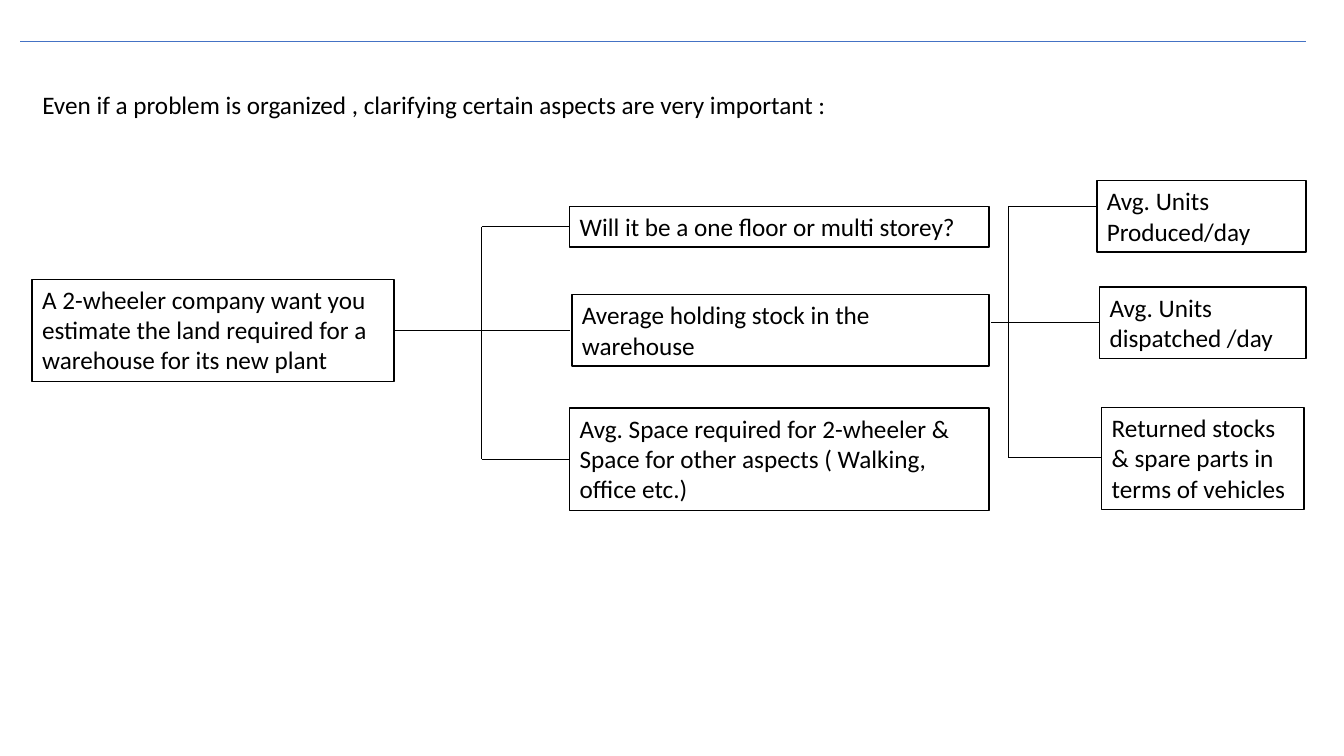
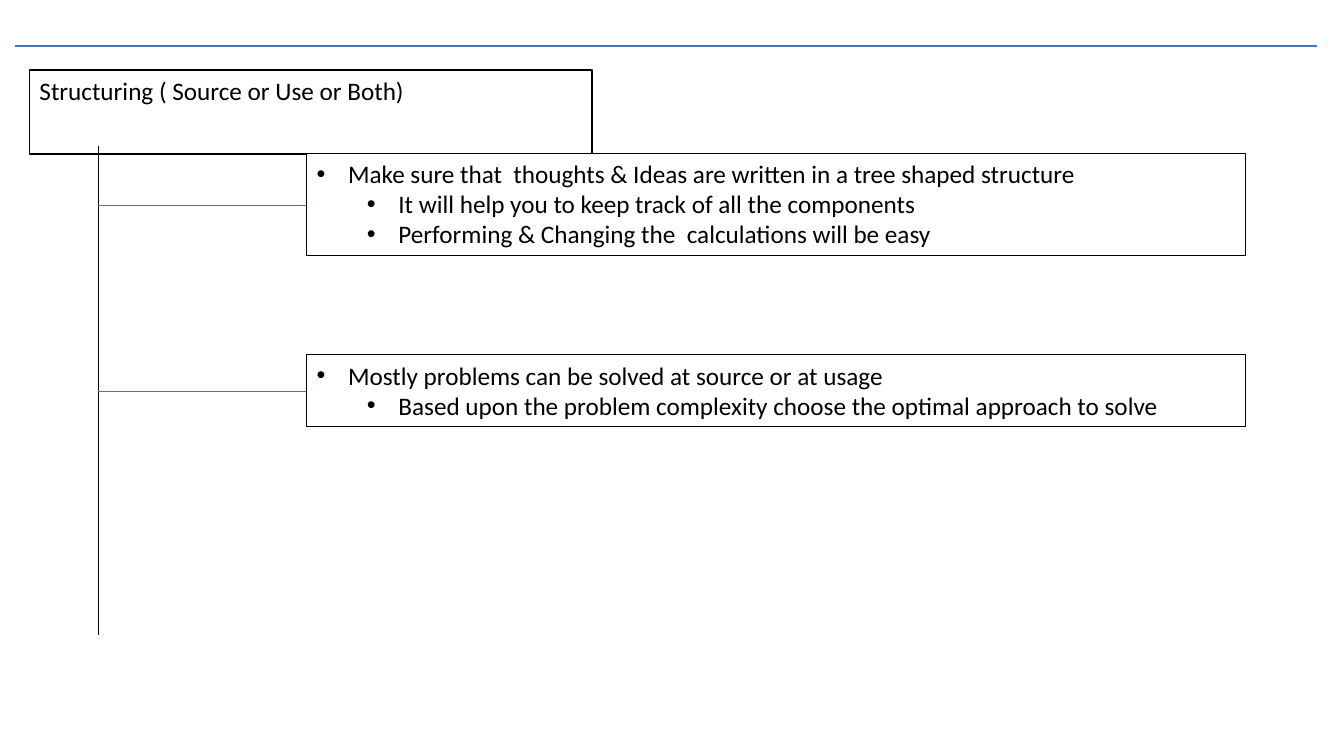
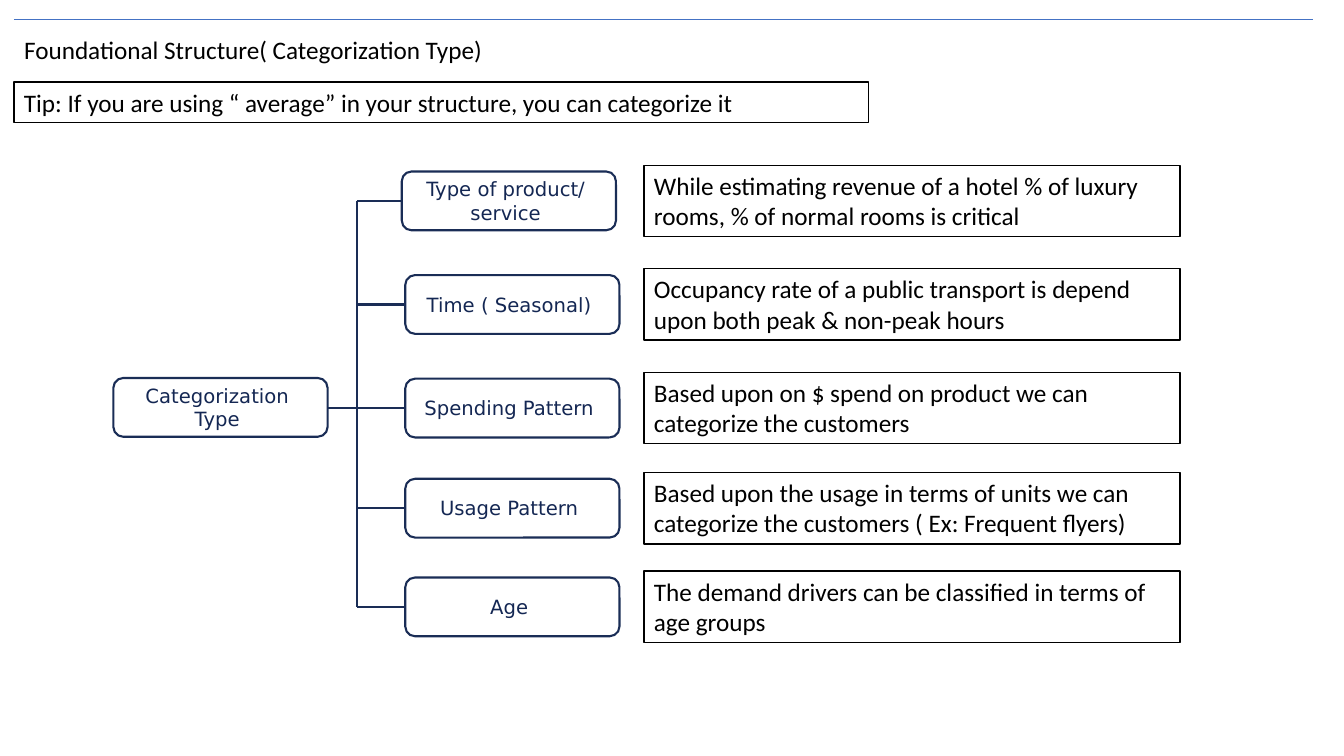
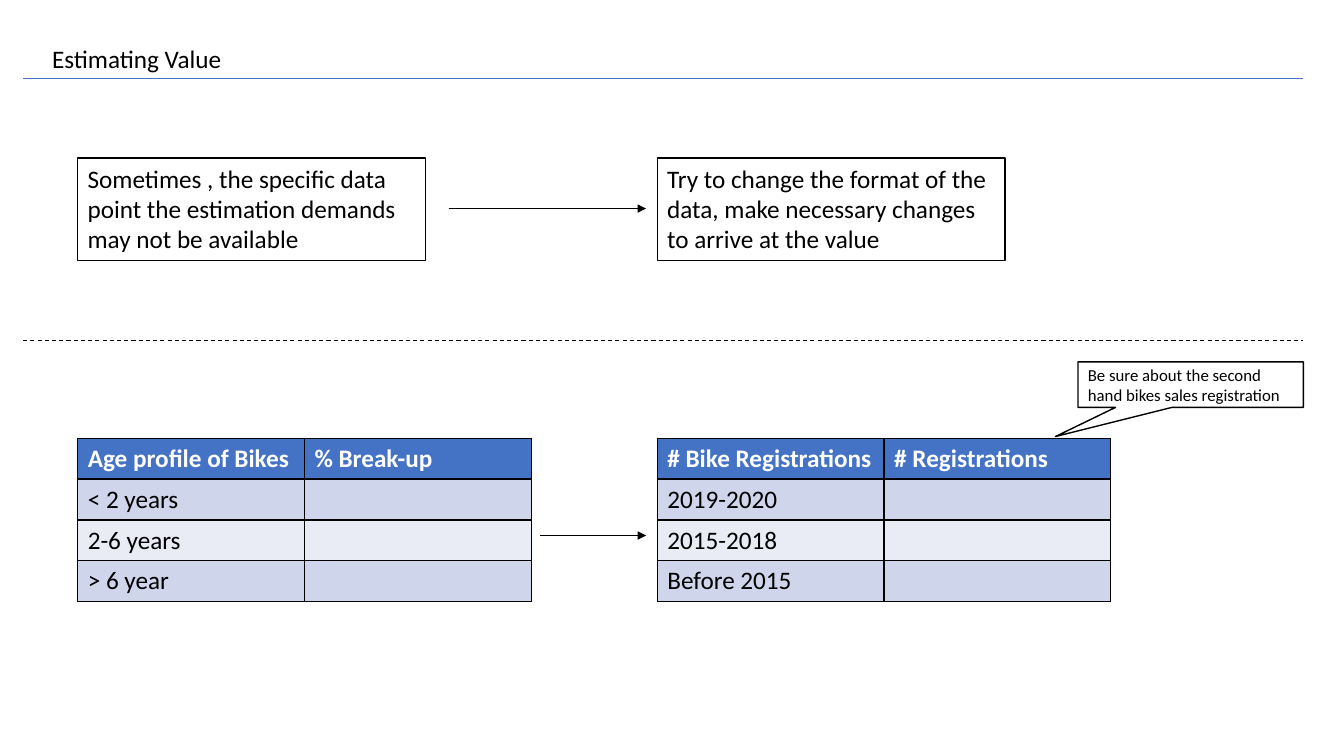
import lxml.etree
import pptx
import pptx.dml.color
import pptx.enum.dml
import pptx.enum.shapes
import pptx.enum.text
import pptx.oxml.ns
import pptx.util

Pt = pptx.util.Pt
qn = pptx.oxml.ns.qn
SHAPE = pptx.enum.shapes.MSO_SHAPE
ANCHOR = pptx.enum.text.MSO_ANCHOR
ALIGN = pptx.enum.text.PP_ALIGN
GROW = pptx.enum.text.MSO_AUTO_SIZE.SHAPE_TO_FIT_TEXT

BLACK, WHITE, BLUE = "000000", "FFFFFF", "4472C4"
NAVY, NAVY_TEXT = "1A2D56", "142753"
BANDS = ("CFD5EA", "E9EBF5")
ONE_LINE, TWO_LINES, THREE_LINES = 29, 51, 73


def rgb(color):
    return pptx.dml.color.RGBColor.from_string(color)


def paint(sp, fill, line, width):
    sp.fill.solid()
    sp.fill.fore_color.rgb = rgb(fill)
    sp.line.color.rgb = rgb(line)
    sp.line.width = Pt(width)


def add_run(p, text, size=18, font="Calibri", color=BLACK, bold=False):
    r = p.add_run()
    r.text = text
    r.font.size = Pt(size)
    r.font.name = font
    r.font.color.rgb = rgb(color)
    r.font.bold = bold


def add_bullet(p, level):
    p.level = level
    pPr = p._p.get_or_add_pPr()
    pPr.set("marL", str(Pt(22.5 + 36 * level)))
    pPr.set("indent", str(Pt(-22.5)))
    lxml.etree.SubElement(pPr, qn("a:buFont")).set("typeface", "Arial")
    lxml.etree.SubElement(pPr, qn("a:buChar")).set("char", "•")


def add_line(s, x1, y1, x2, y2, color=BLACK, width=1, arrow=False, dashed=False):
    c = s.shapes.add_connector(pptx.enum.shapes.MSO_CONNECTOR.STRAIGHT,
                               Pt(x1), Pt(y1), Pt(x2), Pt(y2))
    c.line.color.rgb = rgb(color)
    c.line.width = Pt(width)
    if dashed:
        c.line.dash_style = pptx.enum.dml.MSO_LINE.DASH
    spPr = c._element.spPr
    if arrow:
        lxml.etree.SubElement(spPr.find(qn("a:ln")), qn("a:tailEnd")).set("type", "triangle")
    lxml.etree.SubElement(spPr, qn("a:effectLst"))


def add_branches(s, x, ends, color=BLACK, width=1, spine_width=0.5):
    add_line(s, x, ends[0][1], x, ends[-1][1], color, spine_width)
    for end_x, y in ends:
        add_line(s, x, y, end_x, y, color, width)


def add_shape(s, kind, x, y, w, h, line=BLACK, width=1):
    sp = s.shapes.add_shape(kind, Pt(x), Pt(y), Pt(w), Pt(h))
    sp.shadow.inherit = False
    paint(sp, WHITE, line, width)
    sp.text_frame.word_wrap = True
    return sp


def add_box(s, x, y, w, h, *lines, bullets=False, width=1):
    tf = add_shape(s, SHAPE.RECTANGLE, x, y, w, h, width=width).text_frame
    tf.auto_size = GROW
    tf.vertical_anchor = ANCHOR.TOP
    for i, text in enumerate(lines):
        p = tf.paragraphs[0] if i == 0 else tf.add_paragraph()
        p.alignment = ALIGN.LEFT
        if bullets:
            add_bullet(p, min(i, 1))
        add_run(p, text)


def add_category(s, x, center, text):
    tf = add_shape(s, SHAPE.ROUNDED_RECTANGLE, x, center - 21, 153, 42, NAVY, 1.5).text_frame
    tf.vertical_anchor = ANCHOR.MIDDLE
    tf.margin_right = Pt(11.7)
    p = tf.paragraphs[0]
    p.alignment = ALIGN.CENTER
    add_run(p, text, 14, "DejaVu Sans", NAVY_TEXT)


def add_callout(s, x, y, w, h, text, tip):
    sp = add_shape(s, SHAPE.RECTANGULAR_CALLOUT, x, y, w, h)
    sp.adjustments[0], sp.adjustments[1] = tip
    sp.text_frame.vertical_anchor = ANCHOR.MIDDLE
    p = sp.text_frame.paragraphs[0]
    p.alignment = ALIGN.LEFT
    add_run(p, text, 12)


def set_borders(cell):
    tcPr = cell._tc.get_or_add_tcPr()
    for i, side in enumerate(("a:lnL", "a:lnR", "a:lnT", "a:lnB")):
        ln = lxml.etree.Element(qn(side), w=str(Pt(1)))
        fill = lxml.etree.SubElement(ln, qn("a:solidFill"))
        lxml.etree.SubElement(fill, qn("a:srgbClr")).set("val", BLACK)
        tcPr.insert(i, ln)


def add_table(s, x, y, rows):
    col_w, row_h = 162, 29.2
    table = s.shapes.add_table(len(rows), 2, Pt(x), Pt(y), Pt(2 * col_w),
                               Pt(len(rows) * row_h)).table
    for col in table.columns:
        col.width = Pt(col_w)
    for i, texts in enumerate(rows):
        table.rows[i].height = Pt(row_h)
        header = i == 0
        for j, text in enumerate(texts):
            cell = table.cell(i, j)
            cell.fill.solid()
            cell.fill.fore_color.rgb = rgb(BLUE if header else BANDS[(i - 1) % 2])
            set_borders(cell)
            if text:
                add_run(cell.text_frame.paragraphs[0], text,
                        color=WHITE if header else BLACK, bold=header)


def add_slide(prs, title, x, y, w, rule, boxed=False):
    s = prs.slides.add_slide(prs.slide_layouts[5])
    sp = s.shapes.title
    sp.left, sp.top, sp.width, sp.height = Pt(x), Pt(y), Pt(w), Pt(ONE_LINE)
    if boxed:
        paint(sp, WHITE, BLACK, 1)
    tf = sp.text_frame
    tf.word_wrap = True
    tf.auto_size = GROW
    tf.vertical_anchor = ANCHOR.TOP
    p = tf.paragraphs[0]
    p.alignment = ALIGN.LEFT
    add_run(p, title)
    x1, x2, rule_y, width = rule
    add_line(s, x1, rule_y, x2, rule_y, BLUE, width)
    return s


def build_clarifying(prs):
    s = add_slide(prs, "Even if a problem is organized , clarifying certain aspects are very important :",
                  23, 60, 845, (14.5, 933, 29.5, 1))
    add_line(s, 281.5, 236, 344, 236)
    add_branches(s, 344, [(407, 162), (407, 236), (407, 328)])
    add_line(s, 708, 230.5, 720.5, 230.5)
    add_branches(s, 720.5, [(783.5, 147.5), (785.5, 230.5), (787, 327)])
    for box in (
        (23, 199.5, 258.5, THREE_LINES,
         "A 2-wheeler company want you estimate the land required for a warehouse for its new plant"),
        (407, 147.5, 299.5, ONE_LINE, "Will it be a one floor or multi storey?"),
        (408.5, 210.5, 298, TWO_LINES, "Average holding stock in the warehouse"),
        (407, 291.5, 299.5, THREE_LINES,
         "Avg. Space required for 2-wheeler & Space for other aspects ( Walking, office etc.)"),
        (783.5, 129, 149.5, TWO_LINES, "Avg. Units Produced/day"),
        (785.5, 205, 147.5, TWO_LINES, "Avg. Units dispatched /day"),
        (787, 291, 144.5, THREE_LINES, "Returned stocks & spare parts in terms of vehicles"),
    ):
        add_box(s, *box)


def build_structuring(prs):
    s = add_slide(prs, "Structuring ( Source or Use or Both)", 21, 50, 402,
                  (10.5, 941, 33, 1), boxed=True)
    add_line(s, 70, 104.5, 70, 453.5, width=0.5)
    for branch_y, top, h, lines in (
        (146.5, 109.5, THREE_LINES,
         ("Make sure that  thoughts & Ideas are written in a tree shaped structure",
          "It will help you to keep track of all the components",
          "Performing & Changing the  calculations will be easy")),
        (279.5, 253.5, TWO_LINES,
         ("Mostly problems can be solved at source or at usage",
          "Based upon the problem complexity choose the optimal approach to solve")),
    ):
        add_line(s, 70, branch_y, 219, branch_y, BLUE, 0.5)
        add_box(s, 219, top, 671, h, *lines, bullets=True, width=0.75)


def build_categorization(prs):
    s = add_slide(prs, "Foundational Structure( Categorization Type)", 10, 21, 864,
                  (10, 938, 13.5, 0.5))
    add_box(s, 10, 58.5, 610.5, ONE_LINE,
            "Tip: If you are using “ average” in your structure, you can categorize it")
    rows = (
        (287, 143.5, "Type of product/ service",
         "While estimating revenue of a hotel % of luxury rooms, % of normal rooms is critical"),
        (289.5, 217.5, "Time ( Seasonal)",
         "Occupancy rate of a public transport is depend upon both peak & non-peak hours"),
        (289.5, 291.5, "Spending Pattern",
         "Based upon on $ spend on product we can categorize the customers"),
        (289.5, 363, "Usage Pattern",
         "Based upon the usage in terms of units we can categorize the customers ( Ex: Frequent flyers)"),
        (289.5, 433.5, "Age",
         "The demand drivers can be classified in terms of age groups"),
    )
    add_line(s, 234, 291.5, 255, 291.5, NAVY, 1.5)
    add_branches(s, 255, [(x, y) for x, y, _, _ in rows], NAVY, 1.5, 1.5)
    add_category(s, 81, 291, "Categorization Type")
    for x, y, category, note in rows:
        add_category(s, x, y, category)
        add_box(s, 460, y - TWO_LINES / 2, 383, TWO_LINES, note)


def build_estimating(prs):
    s = add_slide(prs, "Estimating Value", 30, 27.5, 295, (16.5, 931, 56, 0.5))
    left, right = 55.5, 469.5
    add_box(s, left, 113, 248.5, THREE_LINES,
            "Sometimes , the specific data point the estimation demands may not be available")
    add_box(s, right, 113, 248.5, THREE_LINES,
            "Try to change the format of the data, make necessary changes to arrive at the value")
    add_line(s, 320.5, 149, 461.5, 149, width=0.5, arrow=True)
    add_line(s, 16.5, 243.5, 931, 243.5, width=0.75, dashed=True)
    add_table(s, left, 313, (("Age profile of Bikes", "% Break-up"),
                             ("< 2 years", ""), ("2-6 years", ""), ("> 6 year", "")))
    add_table(s, right, 313, (("# Bike Registrations", "# Registrations"),
                              ("2019-2020", ""), ("2015-2018", ""), ("Before 2015", "")))
    add_line(s, 386, 382.5, 461.5, 382.5, width=0.5, arrow=True)
    add_callout(s, 770, 258.5, 161, 32.5,
                "Be sure about the second hand bikes sales registration", (-0.6, 1.14))


def main():
    prs = pptx.Presentation()
    prs.slide_width, prs.slide_height = Pt(960), Pt(540)
    build_clarifying(prs)
    build_structuring(prs)
    build_categorization(prs)
    build_estimating(prs)
    prs.save("out.pptx")


if __name__ == "__main__":
    main()
